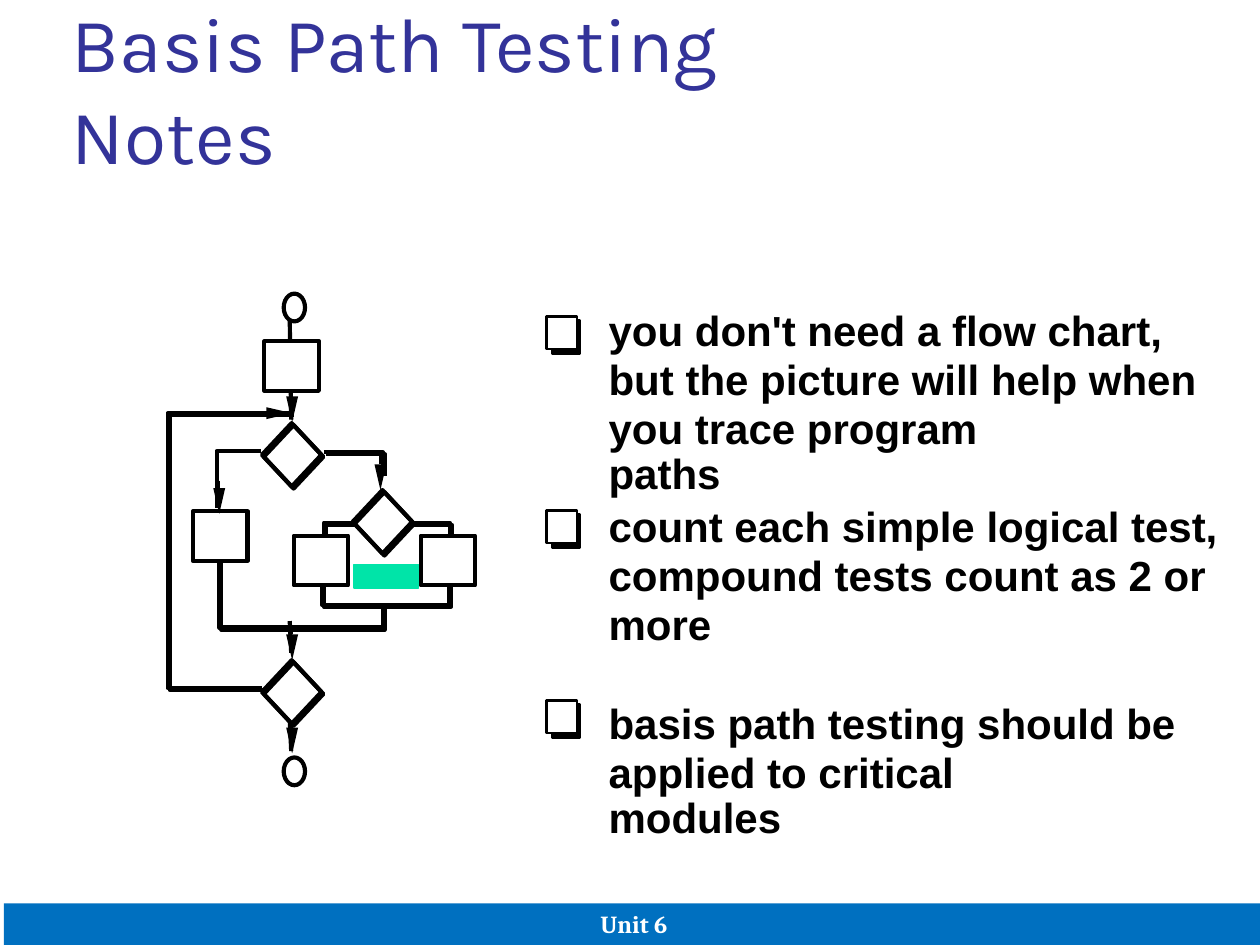
import pptx
import pptx.dml.color
import pptx.enum.shapes
import pptx.enum.text
import pptx.oxml.ns
import pptx.util
from lxml import etree
from pptx.util import Cm

SHAPE = pptx.enum.shapes.MSO_SHAPE
ANCHOR = pptx.enum.text.MSO_ANCHOR
COLORS = {"title": "333399", "ink": "000000", "paper": "FFFFFF",
          "accent": "00E4A8", "footer": "0070C0"}
FLOW_WIDTH, THIN_WIDTH = 2.38, 1.38
DEPTH = 0.04  # cm between a flow line and its doubled stroke

# All coordinates are in cm.
FLOWS = [
    [(6.53, 9.12), (7.72, 9.12), (7.72, 9.55)],
    [(8.31, 10.54), (9.07, 10.54), (9.07, 11.18)],
    [(7.21, 10.54), (6.53, 10.54), (6.53, 11.38)],
    [(6.49, 11.79), (6.49, 12.19), (9.05, 12.19), (9.05, 11.79)],
    [(7.72, 12.24), (7.72, 12.65), (4.42, 12.65), (4.42, 11.3)],
    [(5.28, 13.87), (3.38, 13.87), (3.38, 8.33), (5.89, 8.33)],
]
LEFT_BRANCH = [(5.26, 9.09), (4.37, 9.09), (4.37, 10.24)]
STEMS = [(6.4, 8.46), (12.52, 13.16), (14.5, 15.14)]
DECISIONS = [(5.28, 8.53), (7.11, 9.88), (5.28, 13.31)]
PROCESSES = [(5.33, 6.88), (5.92, 10.8), (8.48, 10.8), (3.89, 10.31)]
TERMINALS = [(5.72, 5.92), (5.72, 15.27)]
DOWN_ARROWS = [(7.67, 9.88, 0.25), (4.42, 10.36, 0.15), (5.89, 13.31, 0.2),
               (5.89, 8.51, 0.03), (5.89, 15.19, 0.03)]

CHECKBOX_TOPS = [6.38, 10.29, 14.12]
NOTES = [  # row, width, text
    (0, 11.4, "you don't need a flow chart,"),
    (1, 12.09, "but the picture will help when"),
    (2, 9.7, "you trace program paths"),
    (4, 12.52, "count each simple logical test,"),
    (5, 12.27, "compound tests count as 2 or"),
    (6, 2.3, "more"),
    (8, 11.66, "basis path testing should be"),
    (9, 10.67, "applied to critical modules"),
]


def rgb(name):
    return pptx.dml.color.RGBColor.from_string(COLORS[name])


def paint(shape, fill=None, line=None, width=FLOW_WIDTH):
    shape.shadow.inherit = False
    if fill:
        shape.fill.solid()
        shape.fill.fore_color.rgb = rgb(fill)
    else:
        shape.fill.background()
    if line:
        shape.line.color.rgb = rgb(line)
        shape.line.width = pptx.util.Pt(width)
    else:
        shape.line.fill.background()
    return shape


def add_preset(slide, kind, x, y, w, h, **style):
    shape = slide.shapes.add_shape(kind, Cm(x), Cm(y), Cm(w), Cm(h))
    return paint(shape, **style)


def add_outline(slide, points, close=False, **style):
    start, *rest = [(Cm(x), Cm(y)) for x, y in points]
    builder = slide.shapes.build_freeform(*start)
    builder.add_line_segments(rest, close=close)
    return paint(builder.convert_to_shape(), **style)


def add_line(slide, start, end, width):
    line = slide.shapes.add_connector(
        pptx.enum.shapes.MSO_CONNECTOR.STRAIGHT,
        Cm(start[0]), Cm(start[1]), Cm(end[0]), Cm(end[1]))
    line.line.color.rgb = rgb("ink")
    line.line.width = pptx.util.Pt(width)
    properties = line._element.spPr
    etree.SubElement(properties, pptx.oxml.ns.qn("a:effectLst"))


def add_flow(slide, points):
    """Draw a flow line as two strokes, the rear one set off by DEPTH."""
    for shift in (DEPTH, 0):
        add_outline(slide, [(x + shift, y + shift) for x, y in points], line="ink")


def add_node(slide, kind, x, y, w, h):
    """Draw a white body and, over it, a slightly larger outline."""
    add_preset(slide, kind, x + 0.02, y + 0.04, w - 0.06, h - 0.08, fill="paper")
    add_preset(slide, kind, x, y, w, h, line="ink")


def add_decision(slide, x, y):
    add_preset(slide, SHAPE.DIAMOND, x + DEPTH, y + DEPTH, 1.2, 1.28,
               fill="paper", line="ink")
    add_preset(slide, SHAPE.DIAMOND, x, y, 1.2, 1.28, line="ink")


def add_arrowhead(slide, tip, direction, stub):
    """Draw a solid head ending at tip, and a short thin stub behind it."""
    (x, y), (dx, dy) = tip, direction
    length, half = 0.52, 0.12
    base_x, base_y = x - dx * length, y - dy * length
    add_outline(slide, [tip, (base_x - dy * half, base_y + dx * half),
                        (base_x + dy * half, base_y - dx * half)],
                close=True, fill="ink")
    add_line(slide, (base_x - dx * stub, base_y - dy * stub),
             (base_x, base_y), THIN_WIDTH)


def write(shape, text, font_name, size, color, bold=False):
    frame = shape.text_frame
    frame.word_wrap = True
    frame.text = text
    font = frame.paragraphs[0].runs[0].font
    font.name, font.size, font.bold = font_name, pptx.util.Pt(size), bold
    font.color.rgb = rgb(color)
    return frame


def add_title(slide):
    title = slide.shapes.add_textbox(Cm(1.27), Cm(0.76), Cm(17.42), Cm(2.03))
    frame = write(title, "Basis Path Testing Notes", "Karla", 44, "title")
    frame.vertical_anchor = ANCHOR.MIDDLE
    frame.margin_left = frame.margin_right = Cm(0.18)
    frame.margin_top = frame.margin_bottom = Cm(0.08)


def add_flow_chart(slide):
    for points in FLOWS:
        add_flow(slide, points)
    add_outline(slide, LEFT_BRANCH, line="ink")
    for top, bottom in STEMS:
        add_line(slide, (5.84, top), (5.87, bottom), FLOW_WIDTH)
    for x, y in DECISIONS:
        add_decision(slide, x, y)
    for x, y in PROCESSES:
        add_node(slide, SHAPE.RECTANGLE, x, y, 1.1, 1)
    for x, y in TERMINALS:
        add_node(slide, SHAPE.OVAL, x, y, 0.43, 0.56)
    for x, y, stub in DOWN_ARROWS:
        add_arrowhead(slide, (x, y), (0, 1), stub)
    add_arrowhead(slide, (5.89, 8.33), (1, 0), 0.08)


def add_checkbox(slide, top):
    add_preset(slide, SHAPE.RECTANGLE, 11.13, top + 0.08, 0.56, 0.67,
               fill="ink", line="ink", width=THIN_WIDTH)
    add_preset(slide, SHAPE.RECTANGLE, 11.02, top, 0.61, 0.66,
               fill="paper", line="ink", width=THIN_WIDTH)


def add_note_line(slide, row, width, text):
    note = slide.shapes.add_textbox(Cm(12.27), Cm(6.25 + 0.99 * row), Cm(width), Cm(0.91))
    frame = write(note, text, "Arial", 24, "ink", bold=True)
    frame.margin_left = frame.margin_right = frame.margin_top = frame.margin_bottom = 0
    frame.paragraphs[0].line_spacing = 0.9


def add_footer(slide):
    footer = add_preset(slide, SHAPE.RECTANGLE, 0.08, 18.21, 25.4, 0.84, fill="footer")
    frame = write(footer, "Unit 6", "Cambria", 14, "paper", bold=True)
    frame.vertical_anchor = ANCHOR.BOTTOM
    frame.paragraphs[0].alignment = pptx.enum.text.PP_ALIGN.CENTER


def main():
    deck = pptx.Presentation()
    deck.slide_width, deck.slide_height = Cm(25.4), Cm(19.05)
    slide = deck.slides.add_slide(deck.slide_layouts[6])
    add_title(slide)
    add_flow_chart(slide)
    for top in CHECKBOX_TOPS:
        add_checkbox(slide, top)
    for row, width, text in NOTES:
        add_note_line(slide, row, width, text)
    add_preset(slide, SHAPE.RECTANGLE, 7.14, 11.38, 1.3, 0.48,
               fill="accent", line="accent", width=1)
    add_footer(slide)
    deck.save("out.pptx")


if __name__ == "__main__":
    main()
